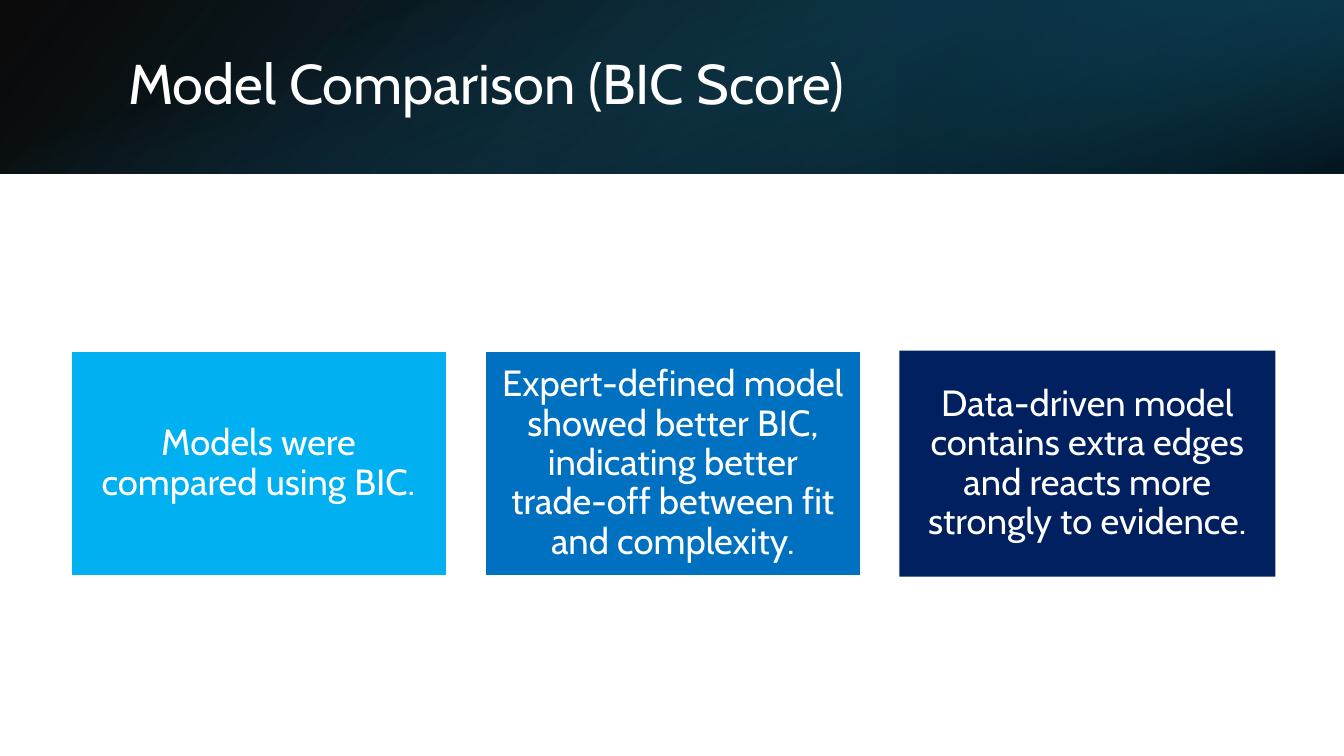
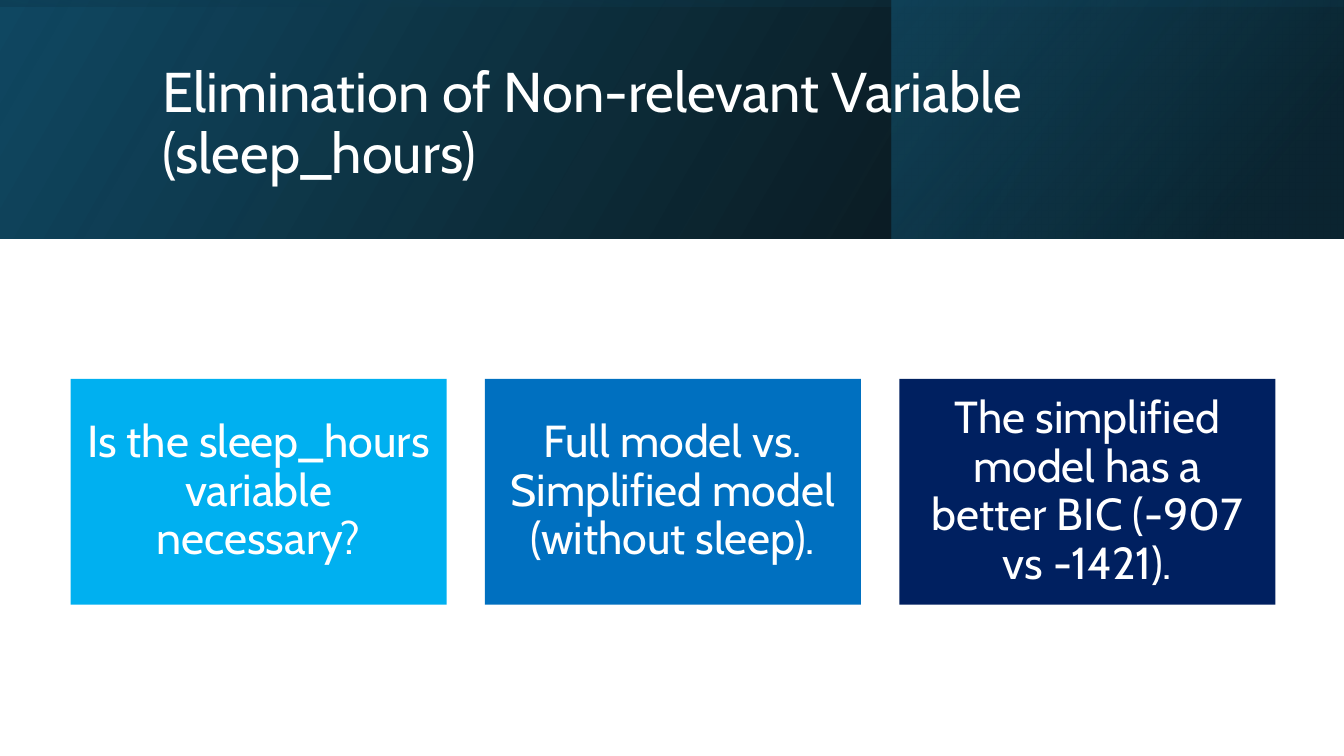
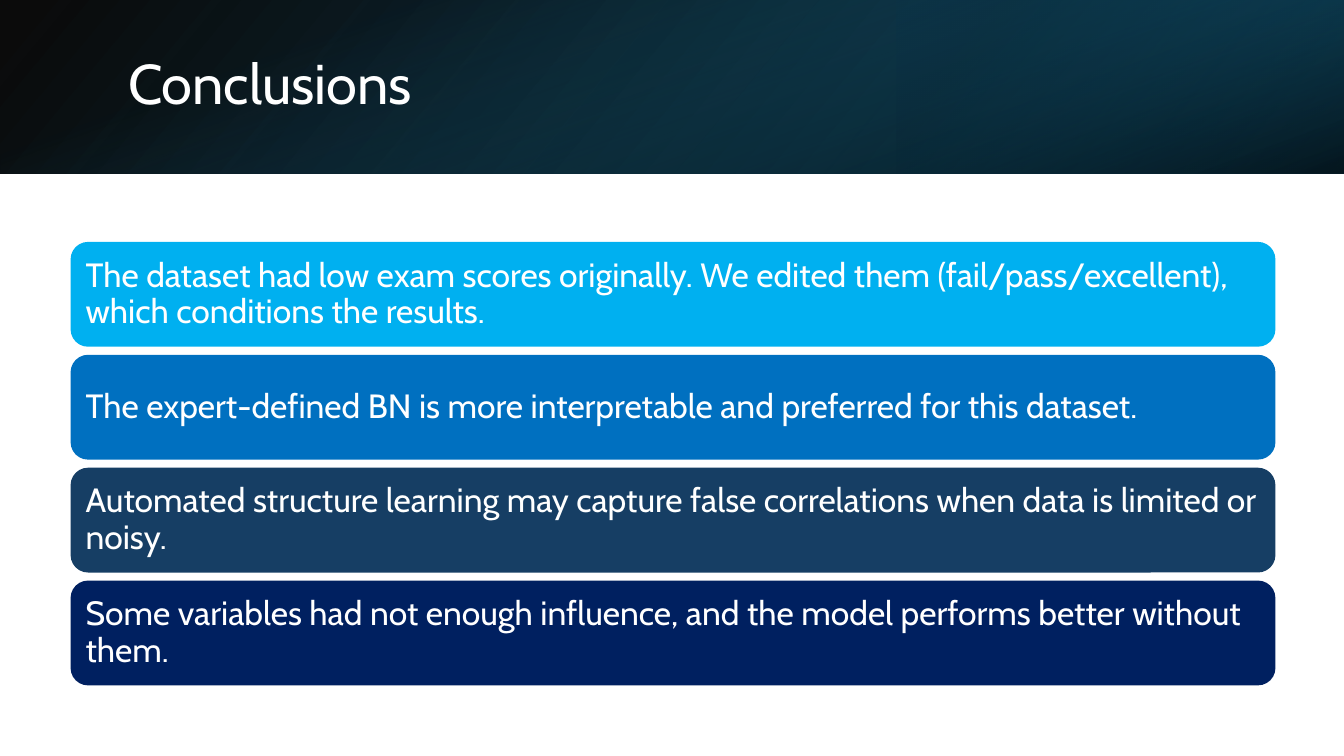
from lxml import etree
from pptx import Presentation
from pptx.dml.color import RGBColor
from pptx.enum import shapes, text
from pptx.oxml import ns
from pptx.util import Inches, Pt

WIDTH, HEIGHT = 13.33, 7.5
FONT = "Cabin"
WHITE, SKY, BLUE, SLATE, NAVY = "FFFFFF", "00B0F0", "0070C0", "163E64", "002060"
BLACK, TEAL, DEEP_TEAL, INK = "000000", "156082", "104862", "0B3041"
LEFT, CONTENT_WIDTH = 0.7, 11.95

# Band layers: stops are (position %, colour, opacity %); the shade is a
# full-width layer turned on its side, so its gradient runs down the band.
LOW_BAND = dict(
    height=1.72, panel_left=8.89, panel_width=4.44,
    base=dict(stops=[(0, BLACK, 96), (100, DEEP_TEAL, 100)], angle=140, flip=True),
    panel=dict(stops=[(19, INK, 68), (100, TEAL, 79)], angle=320, flip=True, turn=180),
    shade=dict(stops=[(23, TEAL, 0), (99, BLACK, 74)], angle=340, turn=90),
    title=(1.17, 0.38, 10.98, 0.96))
TALL_BAND = dict(
    height=2.37, panel_left=8.84, panel_width=4.48,
    base=dict(stops=[(0, BLACK, 96), (100, DEEP_TEAL, 100)], angle=330, flip=True),
    panel=dict(stops=[(19, INK, 68), (100, TEAL, 48)], angle=320, flip=True),
    shade=dict(stops=[(23, DEEP_TEAL, 16), (99, BLACK, 45)], angle=350, flip=True,
               turn=270),
    title=(1.51, 0.38, 10.63, 1.72))


def color(hex_value):
    return RGBColor.from_string(hex_value)


class Deck:
    def __init__(self):
        self.prs = Presentation()
        self.prs.slide_width, self.prs.slide_height = Inches(WIDTH), Inches(HEIGHT)
        self.slide = None

    def new_slide(self, title, band):
        """Add a slide with its gradient band and the title on top of it."""
        self.slide = self.prs.slides.add_slide(self.prs.slide_layouts[5])
        height = band["height"]
        self.layer(0, 0, WIDTH, height, **band["base"])
        self.layer(band["panel_left"], 0, band["panel_width"], height, **band["panel"])
        offset = (WIDTH - height) / 2
        self.layer(offset, -offset, height, WIDTH, **band["shade"])

        heading = self.slide.shapes.title
        self.slide.shapes._spTree.append(heading._element)
        heading.left, heading.top, heading.width, heading.height = map(
            Inches, band["title"])
        self.set_text(heading, title, 40, text.PP_ALIGN.LEFT)

    def box(self, kind, left, top, width, height):
        shape = self.slide.shapes.add_shape(
            kind, Inches(left), Inches(top), Inches(width), Inches(height))
        shape.shadow.inherit = False
        shape.line.fill.background()
        return shape

    def layer(self, left, top, width, height, stops, angle, flip=False, turn=0):
        """Add a rectangle with a linear gradient and see-through stops."""
        shape = self.box(shapes.MSO_SHAPE.RECTANGLE, left, top, width, height)
        shape.rotation = turn
        shape.fill.background()
        properties = shape._element.spPr
        if flip:
            properties.find(ns.qn("a:xfrm")).set("flipH", "1")
        gradient = etree.Element(ns.qn("a:gradFill"), rotWithShape="1")
        stop_list = etree.SubElement(gradient, ns.qn("a:gsLst"))
        for position, hex_value, opacity in stops:
            stop = etree.SubElement(stop_list, ns.qn("a:gs"), pos=str(position * 1000))
            tint = etree.SubElement(stop, ns.qn("a:srgbClr"), val=hex_value)
            etree.SubElement(tint, ns.qn("a:alpha"), val=str(opacity * 1000))
        etree.SubElement(gradient, ns.qn("a:lin"), ang=str(angle * 60000), scaled="0")
        properties.replace(properties.find(ns.qn("a:noFill")), gradient)

    def set_text(self, shape, words, size, align, margins=(0.1, 0.05)):
        frame = shape.text_frame
        frame.text = words
        frame.word_wrap = True
        frame.auto_size = text.MSO_AUTO_SIZE.NONE
        frame.vertical_anchor = text.MSO_ANCHOR.MIDDLE
        frame.margin_left = frame.margin_right = Inches(margins[0])
        frame.margin_top = frame.margin_bottom = Inches(margins[1])
        paragraph = frame.paragraphs[0]
        paragraph.alignment = align
        paragraph.line_spacing = 0.9
        font = paragraph.runs[0].font
        font.name, font.size = FONT, Pt(size)
        font.color.rgb = color(WHITE)

    def cards(self, messages, top, size, margin, outlined=0):
        """Add a row of three cards; the first `outlined` get a white edge."""
        width, height = 3.73, 2.24
        step = (CONTENT_WIDTH - width) / 2
        for i, (message, fill) in enumerate(zip(messages, (SKY, BLUE, NAVY))):
            card = self.box(shapes.MSO_SHAPE.RECTANGLE, LEFT + i * step, top,
                            width, height)
            card.fill.solid()
            card.fill.fore_color.rgb = color(fill)
            if i < outlined:
                card.line.color.rgb = color(WHITE)
                card.line.width = Pt(1.5)
            self.set_text(card, message, size, text.PP_ALIGN.CENTER, (margin, margin))

    def bars(self, messages, top, height=1.04, gap=0.08):
        """Add a stack of full-width rounded bars."""
        for i, (message, fill) in enumerate(zip(messages, (SKY, BLUE, SLATE, NAVY))):
            bar = self.box(shapes.MSO_SHAPE.ROUNDED_RECTANGLE, LEFT,
                           top + i * (height + gap), CONTENT_WIDTH, height)
            bar.fill.solid()
            bar.fill.fore_color.rgb = color(fill)
            # The preset's rounded corners add 0.05 to each margin
            self.set_text(bar, message, 24, text.PP_ALIGN.LEFT, (0.1, 0.1))


def main():
    deck = Deck()

    # Model comparison
    deck.new_slide("Model Comparison (BIC Score)", LOW_BAND)
    deck.cards([
        "Models were compared using BIC.",
        "Expert-defined model showed better BIC, indicating better trade-off "
        "between fit and complexity.",
        "Data-driven model contains extra edges and reacts more strongly to evidence.",
    ], top=3.48, size=26, margin=0.11, outlined=2)

    # Variable elimination
    deck.new_slide("Elimination of Non-relevant Variable (sleep_hours)", TALL_BAND)
    deck.cards([
        "Is the sleep_hours variable necessary?",
        "Full model vs. Simplified model (without sleep).",
        "The simplified model has a better BIC (-907 vs -1421).",
    ], top=3.76, size=32, margin=0.13)

    # Conclusions
    deck.new_slide("Conclusions", LOW_BAND)
    deck.bars([
        "The dataset had low exam scores originally. We edited them "
        "(fail/pass/excellent), which conditions the results.",
        "The expert-defined BN is more interpretable and preferred for this dataset.",
        "Automated structure learning may capture false correlations when data is "
        "limited or noisy.",
        "Some variables had not enough influence, and the model performs better "
        "without them.",
    ], top=2.4)

    deck.prs.save("out.pptx")


if __name__ == "__main__":
    main()
